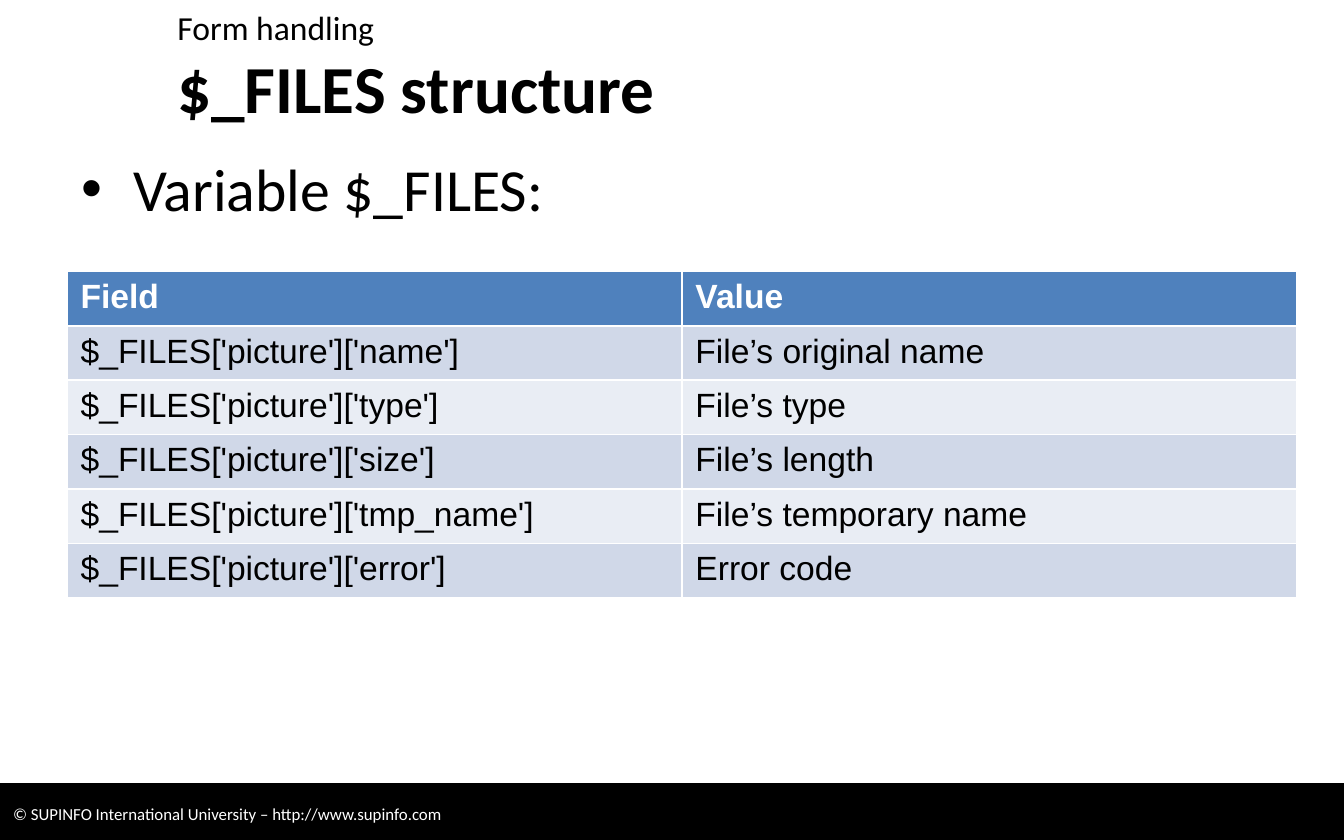
import pptx
import pptx.dml.color
import pptx.enum.shapes
import pptx.enum.text
import pptx.oxml.ns
import pptx.util
from lxml import etree

WIDTH, HEIGHT = 10, 6.25
COLORS = {
    "ink": "000000",
    "paper": "FFFFFF",
    "header": "4F81BD",
    "odd_row": "D0D8E8",
    "even_row": "E9EDF4",
}
FIELDS = [
    ("Field", "Value"),
    ("$_FILES['picture']['name']", "File’s original name"),
    ("$_FILES['picture']['type']", "File’s type"),
    ("$_FILES['picture']['size']", "File’s length"),
    ("$_FILES['picture']['tmp_name']", "File’s temporary name"),
    ("$_FILES['picture']['error']", "Error code"),
]


def color(name):
    return pptx.dml.color.RGBColor.from_string(COLORS[name])


def inches(box):
    return [pptx.util.Inches(length) for length in box]


def write(frame, text, size, ink="ink", font="Calibri", bold=False):
    paragraph = frame.paragraphs[0]
    paragraph.text = text
    paragraph.alignment = pptx.enum.text.PP_ALIGN.LEFT
    paragraph.space_before = pptx.util.Pt(0)
    paragraph.font.name = font
    paragraph.font.size = pptx.util.Pt(size)
    paragraph.font.bold = bold
    paragraph.font.color.rgb = color(ink)


def set_bullet(frame, symbol=None, indent=0):
    properties = frame.paragraphs[0]._p.get_or_add_pPr()
    properties.set("marL", str(pptx.util.Inches(indent)))
    properties.set("indent", str(-pptx.util.Inches(indent)))
    tag = "a:buChar" if symbol else "a:buNone"
    bullet = etree.SubElement(properties, pptx.oxml.ns.qn(tag))
    if symbol:
        bullet.set("char", symbol)


def place(placeholder, box, anchor):
    placeholder.left, placeholder.top, placeholder.width, placeholder.height = inches(box)
    frame = placeholder.text_frame
    frame.vertical_anchor = anchor
    frame.word_wrap = True
    return frame


def add_heading(title, chapter, box):
    left, top, width, height = box
    chapter_height = height * 0.4
    chapter_frame = place(chapter, (left, top, width, chapter_height),
                          pptx.enum.text.MSO_ANCHOR.TOP)
    set_bullet(chapter_frame)
    write(chapter_frame, "Form handling", 18)
    title_frame = place(title, (left, top + chapter_height, width, height - chapter_height),
                        pptx.enum.text.MSO_ANCHOR.MIDDLE)
    write(title_frame, "$_FILES structure", 36, bold=True)


def add_body(body, box):
    frame = place(body, box, pptx.enum.text.MSO_ANCHOR.TOP)
    set_bullet(frame, "•", 0.38)
    write(frame, "Variable $_FILES:", 32)


def add_fields_table(slide, box):
    table = slide.shapes.add_table(len(FIELDS), len(FIELDS[0]), *inches(box)).table
    for row, texts in enumerate(FIELDS):
        is_header = row == 0
        fill = "header" if is_header else "odd_row" if row % 2 else "even_row"
        for column, text in enumerate(texts):
            cell = table.cell(row, column)
            cell.fill.solid()
            cell.fill.fore_color.rgb = color(fill)
            write(cell.text_frame, text, 18, "paper" if is_header else "ink", "Arial", is_header)


def add_footer(slide, box):
    footer = slide.shapes.add_shape(pptx.enum.shapes.MSO_SHAPE.RECTANGLE, *inches(box))
    footer.shadow.inherit = False
    footer.fill.solid()
    footer.fill.fore_color.rgb = color("ink")
    footer.line.color.rgb = color("ink")
    footer.line.width = pptx.util.Pt(0.75)
    footer.text_frame.word_wrap = True
    footer.text_frame.vertical_anchor = pptx.enum.text.MSO_ANCHOR.MIDDLE
    write(footer.text_frame, "© SUPINFO International University – http://www.supinfo.com", 9, "paper")


def main():
    presentation = pptx.Presentation()
    presentation.slide_width, presentation.slide_height = inches((WIDTH, HEIGHT))
    slide = presentation.slides.add_slide(presentation.slide_layouts[3])
    title, body, chapter = slide.placeholders
    add_footer(slide, (0, 5.83, WIDTH, 0.45))
    add_heading(title, chapter, (1.22, 0, 8.51, 0.92))
    add_body(body, (0.51, 1.08, 9.06, 4.63))
    add_fields_table(slide, (0.5, 2.02, 9.15, 2.43))
    presentation.save("out.pptx")


if __name__ == "__main__":
    main()
